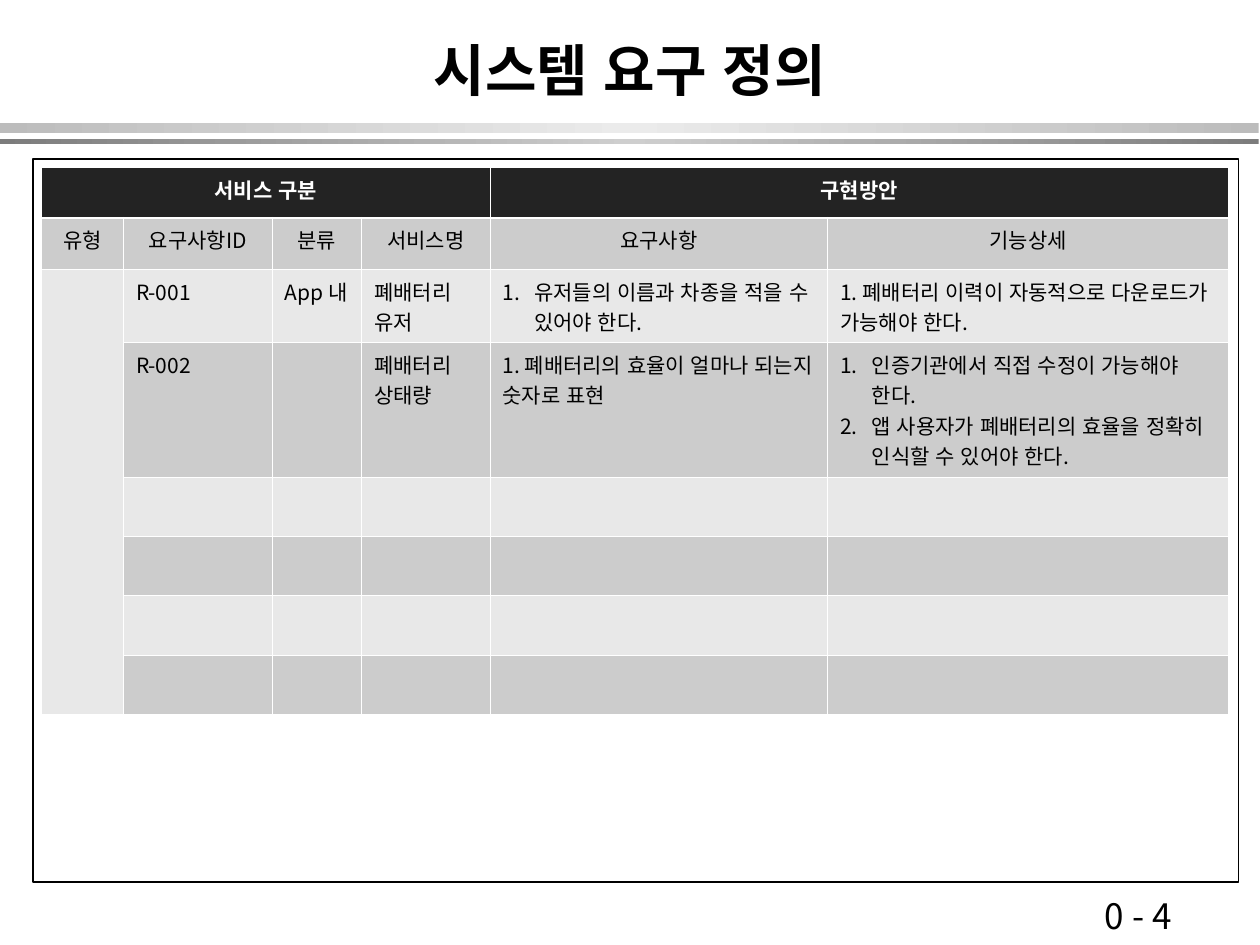
from copy import deepcopy

from lxml.etree import SubElement
from pptx import Presentation
from pptx.dml.color import RGBColor
from pptx.enum.lang import MSO_LANGUAGE_ID
from pptx.enum.shapes import MSO_SHAPE
from pptx.enum.text import MSO_ANCHOR, PP_ALIGN
from pptx.oxml import parse_xml
from pptx.oxml.ns import nsdecls, qn
from pptx.util import Inches, Pt

THEME = {
    "font": "Noto Sans CJK KR", "ink": "000000", "paper": "FFFFFF",
    "head": "232323", "bands": ("E8E8E8", "CCCCCC"),
    "title": 32, "page": 20, "cell": 12, "thin": 0.45, "thick": 1.47,
}

TITLE = "시스템 요구 정의"
PAGE = "0 - 4"
BARS = [
    (0.98, 0.08, ("BCBCBC", "EBEBEB", "BCBCBC")),
    (1.1, 0.04, ("7C7C7C", "CECECE", "7C7C7C")),
]
COLS = [0.65, 1.18, 0.71, 1.02, 2.68, 3.18]
ROWS = [0.4, 0.41, 0.58, 1.07] + [0.47] * 4
MERGES = [((0, 0), (0, 3)), ((0, 4), (0, 5)), ((2, 0), (7, 0))]
CELLS = [
    ["서비스 구분", "", "", "", "구현방안", ""],
    ["유형", "요구사항ID", "분류", "서비스명", "요구사항", "기능상세"],
    ["", "R-001", "App 내", "폐배터리 유저",
     ["유저들의 이름과 차종을 적을 수 있어야 한다."],
     "1. 폐배터리 이력이 자동적으로 다운로드가 가능해야 한다."],
    ["", "R-002", "", "폐배터리 상태량",
     "1. 폐배터리의 효율이 얼마나 되는지 숫자로 표현",
     ["인증기관에서 직접 수정이 가능해야 한다.",
      "앱 사용자가 폐배터리의 효율을 정확히 인식할 수 있어야 한다."]],
]


def rgb(name):
    return RGBColor.from_string(name)


def write(tf, text, size=THEME["cell"], color=THEME["ink"], bold=False, align=PP_ALIGN.LEFT):
    numbered = isinstance(text, list)
    for i, line in enumerate(text if numbered else [text]):
        p = tf.add_paragraph() if i else tf.paragraphs[0]
        p.alignment = align
        if numbered:
            pPr = p._p.get_or_add_pPr()
            pPr.set("marL", str(Inches(0.25)))
            pPr.set("indent", str(-Inches(0.25)))
            SubElement(pPr, qn("a:buFont"), typeface="+mj-lt")
            SubElement(pPr, qn("a:buAutoNum"), type="arabicPeriod")
        r = p.add_run()
        r.text = line
        f = r.font
        f.name, f.size, f.bold = THEME["font"], Pt(size), bold
        f.color.rgb = rgb(color)
        f.language_id = MSO_LANGUAGE_ID.KOREAN
        SubElement(r._r.get_or_add_rPr(), qn("a:ea"), typeface=THEME["font"])


def add_text(s, box, text, **fmt):
    tf = s.shapes.add_textbox(*map(Inches, box)).text_frame
    tf.word_wrap = True
    tf.vertical_anchor = MSO_ANCHOR.MIDDLE
    write(tf, text, **fmt)


def add_bar(shapes, top, height, colors):
    sp = shapes.add_shape(MSO_SHAPE.RECTANGLE, 0, Inches(top), Inches(9.99), Inches(height))
    sp.shadow.inherit = False
    sp.line.fill.background()
    sp.fill.gradient()
    sp.fill.gradient_angle = 0
    stops = sp._element.find(".//" + qn("a:gsLst"))
    stops.append(deepcopy(stops[0]))
    for i, (stop, color) in enumerate(zip(sp.fill.gradient_stops, colors)):
        stop.color.rgb = rgb(color)
        stop.position = i / 2


def set_borders(cell, top, bottom):
    widths = {"L": THEME["thin"], "R": THEME["thin"], "T": top, "B": bottom}
    for i, (side, width) in enumerate(widths.items()):
        cell._tc.get_or_add_tcPr().insert(i, parse_xml(
            f'<a:ln{side} {nsdecls("a")} w="{Pt(width)}"><a:solidFill>'
            f'<a:srgbClr val="{THEME["paper"]}"/></a:solidFill></a:ln{side}>'))


def add_requirements(s):
    box = map(Inches, (0.33, 1.33, sum(COLS), sum(ROWS)))
    table = s.shapes.add_table(len(ROWS), len(COLS), *box).table
    table.first_row = table.horz_banding = False
    for col, width in zip(table.columns, COLS):
        col.width = Inches(width)
    for y, height in enumerate(ROWS):
        table.rows[y].height = Inches(height)
        for x in range(len(COLS)):
            cell = table.cell(y, x)
            cell.fill.solid()
            first_col = x == 0 and y > 1
            band = THEME["bands"][0 if first_col else y % 2]
            cell.fill.fore_color.rgb = rgb(band if y else THEME["head"])
            set_borders(cell, THEME["thick" if y == 1 else "thin"],
                        THEME["thick" if y == 0 else "thin"])
            text = CELLS[y][x] if y < len(CELLS) else ""
            if text:
                write(cell.text_frame, text, bold=y == 0,
                      color=THEME["ink" if y else "paper"],
                      align=PP_ALIGN.CENTER if y < 2 else PP_ALIGN.LEFT)
    for start, end in MERGES:
        table.cell(*start).merge(table.cell(*end))


def main():
    """Build the system requirements slide."""
    prs = Presentation()
    prs.slide_width, prs.slide_height = Inches(10), Inches(7.5)
    s = prs.slides.add_slide(prs.slide_layouts[6])
    group = s.shapes.add_group_shape()
    for bar in BARS:
        add_bar(group.shapes, *bar)
    frame = s.shapes.add_shape(MSO_SHAPE.RECTANGLE, *map(Inches, (0.26, 1.26, 9.57, 5.74)))
    frame.shadow.inherit = False
    frame.fill.background()
    frame.line.color.rgb = rgb(THEME["ink"])
    frame.line.width = Pt(1)
    add_text(s, (8.67, 7.05, 1.17, 0.43), PAGE, size=THEME["page"])
    add_text(s, (0.75, 0.17, 8.5, 0.75), TITLE, size=THEME["title"], bold=True,
             align=PP_ALIGN.CENTER)
    add_requirements(s)
    prs.save("out.pptx")


if __name__ == "__main__":
    main()
